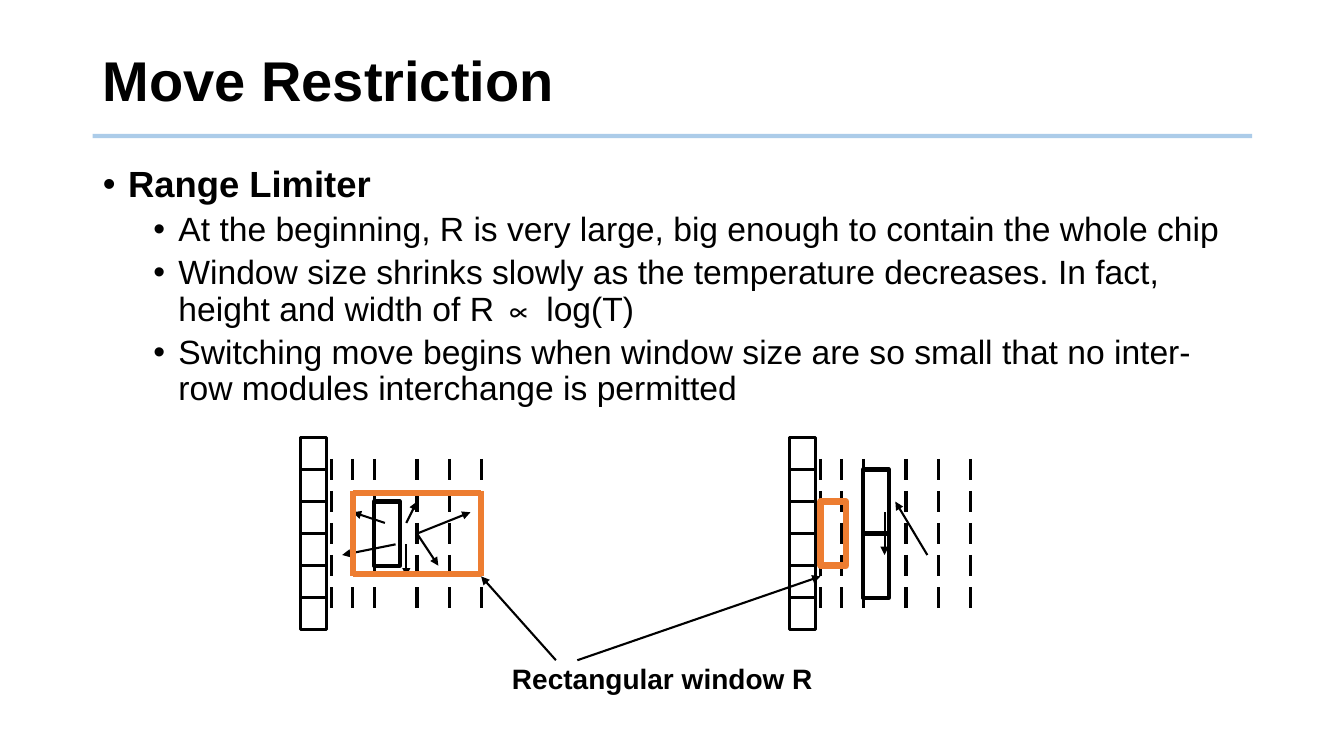
from lxml import etree
from pptx import Presentation
from pptx import util as u
from pptx.dml.color import RGBColor
from pptx.enum import shapes, text
from pptx.oxml import ns

BLACK = RGBColor(0x00, 0x00, 0x00)
WHITE = RGBColor(0xFF, 0xFF, 0xFF)
ORANGE = RGBColor(0xED, 0x7D, 0x31)
BLUE = RGBColor(0x5B, 0x9B, 0xD5)
FONT = "Arial"

# Slide frame and drawing grid, in inches
MARGIN, CONTENT_W = 0.92, 11.5
UNIT = 0.106
TOP = 4.34
LEFT_CHIP, RIGHT_CHIP = 2.97, 7.82

# Chip geometry, in grid units
ROW_STEP, ROW_COUNT = 3, 5
DASH_COLUMNS = (3, 5, 7, 11, 14, 17)
CELL_W, CELL_H = 2.4, 6

BULLETS = (
    (0, "Range Limiter"),
    (1, "At the beginning, R is very large, big enough to contain the whole chip"),
    (1, "Window size shrinks slowly as the temperature decreases. "
        "In fact, height and width of R ∝ log(T)"),
    (1, "Switching move begins when window size are so small that no "
        "inter-row modules interchange is permitted"),
)


def grid(origin, col, row):
    """Turn a grid column and row of a chip into a slide position."""
    return u.Inches(origin + col * UNIT), u.Inches(TOP + row * UNIT)


def place(shape, left, top, width, height):
    shape.left, shape.top = u.Inches(left), u.Inches(top)
    shape.width, shape.height = u.Inches(width), u.Inches(height)


def add_run(p, words, size, bold):
    r = p.add_run()
    r.text = words
    r.font.name, r.font.size, r.font.bold = FONT, u.Pt(size), bold
    r.font.color.rgb = BLACK


def add_line(parent, start, end, width, color=BLACK, arrow=False):
    line = parent.add_connector(shapes.MSO_CONNECTOR.STRAIGHT, *start, *end)
    line.line.color.rgb, line.line.width = color, u.Pt(width)
    if arrow:
        head = etree.SubElement(line.line._get_or_add_ln(), ns.qn("a:tailEnd"))
        head.set("type", "triangle")
    etree.SubElement(line._element.spPr, ns.qn("a:effectLst"))
    return line


def add_box(parent, origin, col, row, width, color=BLACK, fill=None):
    box = parent.add_shape(
        shapes.MSO_SHAPE.RECTANGLE, *grid(origin, col, row),
        u.Inches(CELL_W * UNIT), u.Inches(CELL_H * UNIT))
    box.shadow.inherit = False
    if fill is None:
        box.fill.background()
    else:
        box.fill.solid()
        box.fill.fore_color.rgb = fill
    box.line.color.rgb, box.line.width = color, u.Pt(width)


def add_chip(parent, origin):
    """Draw the column of cells and the dashed tracks beside it."""
    for row in range(0, ROW_COUNT * ROW_STEP, ROW_STEP):
        add_box(parent, origin, 0.1, row, 2.25)
        for col in DASH_COLUMNS:
            add_line(parent, grid(origin, col, row + 2),
                     grid(origin, col, row + 4), 2.25)


def add_moves(parent, origin, moves):
    for start, end in moves:
        add_line(parent, grid(origin, *start), grid(origin, *end), 1.5, arrow=True)


def add_title(s):
    title = s.shapes.title
    place(title, MARGIN, 0.28, CONTENT_W, 1.1)
    tf = title.text_frame
    tf.vertical_anchor = text.MSO_ANCHOR.MIDDLE
    p = tf.paragraphs[0]
    p.alignment, p.line_spacing = text.PP_ALIGN.LEFT, 0.9
    add_run(p, "Move Restriction", 40, True)

    # Half-transparent rule under the title
    rule = add_line(s.shapes, (u.Inches(MARGIN), u.Inches(1.35)),
                    (u.Inches(MARGIN + CONTENT_W), u.Inches(1.35)), 3, BLUE)
    color = rule._element.spPr.find(".//" + ns.qn("a:srgbClr"))
    etree.SubElement(color, ns.qn("a:alpha")).set("val", "50000")


def add_body(s):
    body = s.placeholders[1]
    place(body, MARGIN, 1.6, CONTENT_W, 5.15)
    tf = body.text_frame
    tf.auto_size = text.MSO_AUTO_SIZE.NONE
    for i, (level, words) in enumerate(BULLETS):
        p = tf.add_paragraph() if i else tf.paragraphs[0]
        p.level, p.line_spacing = level, 0.9
        p.space_before = u.Pt(5 if i else 0)
        pPr = p._p.get_or_add_pPr()
        pPr.set("marL", str(u.Inches(0.25 + 0.5 * level)))
        pPr.set("indent", str(-u.Inches(0.25)))
        etree.SubElement(pPr, ns.qn("a:buFont")).set("typeface", FONT)
        etree.SubElement(pPr, ns.qn("a:buChar")).set("char", "•")
        add_run(p, words, 24 if level else 26, level == 0)


def add_large_window_chip(s):
    g = s.shapes.add_group_shape().shapes
    add_chip(g, LEFT_CHIP)
    add_box(g, LEFT_CHIP, 7, 6, 3)
    add_moves(g, LEFT_CHIP, (
        ((11, 9), (16, 7)), ((10, 8), (11, 6)), ((8, 8), (5, 7)),
        ((11, 9), (13, 12)), ((10, 10), (10, 13)), ((9, 10), (4, 11))))
    # Window sides, then its top and bottom
    for start, end in (((5, 5), (5, 13)), ((17, 5), (17, 13)),
                       ((5, 5.2), (17, 5.2)), ((5, 12.8), (17, 12.8))):
        add_line(g, grid(LEFT_CHIP, *start), grid(LEFT_CHIP, *end), 4.5, ORANGE)


def add_small_window_chip(s):
    g = s.shapes.add_group_shape().shapes
    add_chip(g, RIGHT_CHIP)
    add_box(g, RIGHT_CHIP, 7, 9, 3, fill=WHITE)
    add_box(g, RIGHT_CHIP, 7, 3, 3)
    add_moves(g, RIGHT_CHIP, (((13, 11), (10, 6)), ((9, 7), (9, 11))))
    add_box(g, RIGHT_CHIP, 3, 6, 4.5, ORANGE)


def add_window_label(s):
    sp = s.shapes.add_textbox(0, 0, 0, 0)
    place(sp, 4.56, 6.45, 4.02, 0.55)
    tf = sp.text_frame
    tf.word_wrap = False
    tf.vertical_anchor = text.MSO_ANCHOR.MIDDLE
    p = tf.paragraphs[0]
    p.alignment = text.PP_ALIGN.CENTER
    add_run(p, "Rectangular window R", 20, True)
    # Pointers from the label to both windows
    for col, target in ((24, grid(LEFT_CHIP, 17, 13)), (26, grid(RIGHT_CHIP, 3, 13))):
        add_line(s.shapes, grid(LEFT_CHIP, col, 20.85), target, 1.5, arrow=True)


def main():
    prs = Presentation()
    prs.slide_width, prs.slide_height = u.Inches(13.33), u.Inches(7.5)
    s = prs.slides.add_slide(prs.slide_layouts[1])
    add_title(s)
    add_body(s)
    add_large_window_chip(s)
    add_small_window_chip(s)
    add_window_label(s)
    prs.save("out.pptx")


if __name__ == "__main__":
    main()
